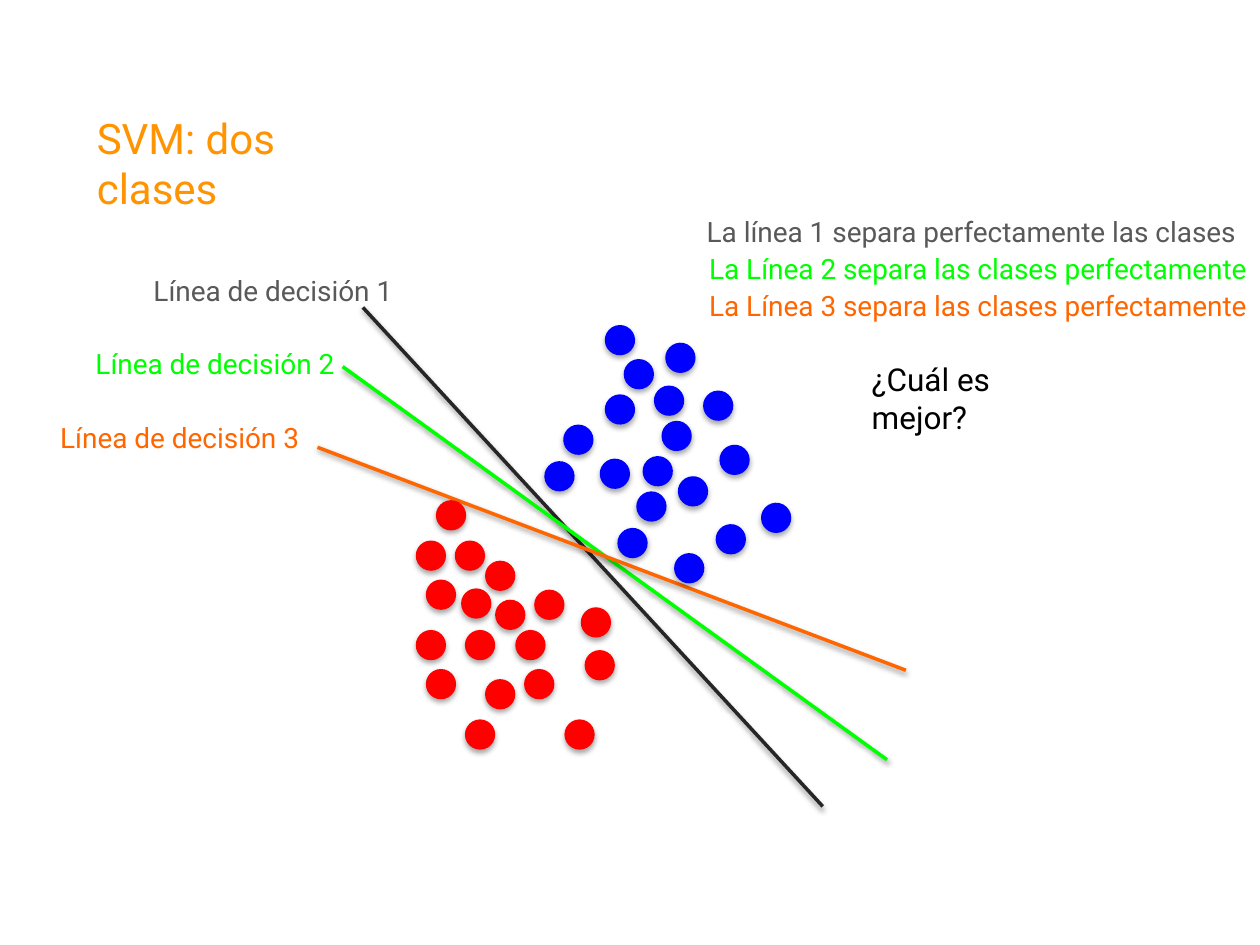
from typing import NamedTuple

from lxml import etree
from pptx import Presentation
from pptx import util as u
from pptx.dml.color import RGBColor
from pptx.enum import shapes, text
from pptx.oxml.ns import qn

COLORS = {
    "gray": "595959",
    "dark": "262626",
    "green": "00FF00",
    "orange": "FF6600",
    "black": "000000",
    "red": "FF0000",
    "blue": "0000FF",
    "title": "FF9300",
}
FONT = "Roboto"
DOT_SIZE = 0.24


class Label(NamedTuple):
    words: str
    left: float
    top: float
    width: float
    height: float
    size: int
    color: str
    wrap: bool = False


class Boundary(NamedTuple):
    start: tuple[float, float]
    end: tuple[float, float]
    color: str
    claim: Label
    name: Label


class Cluster(NamedTuple):
    color: str
    rotation: float
    dots: list[tuple[float, float]]


BOUNDARIES = [
    Boundary(
        (2.88, 2.44), (6.53, 6.4), "dark",
        Label("La línea 1 separa perfectamente las clases", 5.51, 1.65, 4.49, 0.64, 16, "gray"),
        Label("Línea de decisión 1", 1.12, 2.12, 2.14, 0.64, 16, "gray"),
    ),
    Boundary(
        (2.72, 2.91), (7.04, 6.03), "green",
        Label("La Línea 2 separa las clases perfectamente", 5.53, 1.95, 4.54, 0.64, 16, "green"),
        Label("Línea de decisión 2", 0.66, 2.7, 2.14, 0.64, 16, "green"),
    ),
    Boundary(
        (2.52, 3.55), (7.19, 5.32), "orange",
        Label("La Línea 3 separa las clases perfectamente", 5.53, 2.24, 4.54, 0.64, 16, "orange"),
        Label("Línea de decisión 3", 0.38, 3.29, 2.14, 0.64, 16, "orange"),
    ),
]
QUESTION = Label("¿Cuál es mejor?", 6.82, 2.81, 1.95, 0.71, 18, "black", True)
TITLE = Label("SVM: dos clases", 0.67, 0.84, 2.53, 0.91, 24, "title", True)

CLUSTERS = [
    Cluster("red", 0, [
        (3.46, 3.97), (3.38, 4.6), (3.3, 4.29), (3.66, 4.67), (3.69, 5), (3.85, 4.45),
        (4.24, 4.68), (4.16, 5.31), (4.09, 5), (4.61, 4.82), (4.48, 5.71), (4.64, 5.16),
        (3.61, 4.29), (3.38, 5.31), (3.3, 5), (3.93, 4.76), (3.69, 5.71), (3.85, 5.39),
    ]),
    Cluster("blue", 42.6, [
        (5.28, 2.72), (4.8, 3.13), (4.95, 2.85), (5.58, 3.1), (4.76, 3.64), (5.25, 3.34),
        (5.38, 3.78), (4.9, 4.19), (5.05, 3.9), (5.68, 4.16), (5.71, 3.53), (5.35, 4.39),
        (5.19, 3.06), (4.32, 3.66), (4.47, 3.37), (5.1, 3.62), (6.04, 3.99), (4.8, 2.58),
    ]),
]


def rgb(name: str) -> RGBColor:
    return RGBColor.from_string(COLORS[name])


def add_shadow(shape, distance: float, opacity: int) -> None:
    properties = shape._element.spPr
    for old in properties.findall(qn("a:effectLst")):
        properties.remove(old)
    effects = etree.SubElement(properties, qn("a:effectLst"))
    shadow = etree.SubElement(
        effects, qn("a:outerShdw"), blurRad=str(u.Pt(3.1)), dist=str(u.Pt(distance)),
        dir="5400000", rotWithShape="0",
    )
    color = etree.SubElement(shadow, qn("a:srgbClr"), val=COLORS["black"])
    etree.SubElement(color, qn("a:alpha"), val=str(opacity * 1000))


def add_label(parent, label: Label) -> None:
    box = parent.add_textbox(
        u.Inches(label.left), u.Inches(label.top), u.Inches(label.width), u.Inches(label.height)
    )
    frame = box.text_frame
    frame.word_wrap = label.wrap
    frame.auto_size = text.MSO_AUTO_SIZE.NONE
    if label.wrap:
        frame.margin_right = u.Inches(0.5)
    span = frame.paragraphs[0].add_run()
    span.text = label.words
    span.font.name = FONT
    span.font.size = u.Pt(label.size)
    span.font.color.rgb = rgb(label.color)


def add_boundary(page, boundary: Boundary) -> None:
    group = page.shapes.add_group_shape().shapes
    add_label(group, boundary.claim)
    line = group.add_connector(
        shapes.MSO_CONNECTOR.STRAIGHT,
        *(u.Inches(value) for value in boundary.start + boundary.end),
    )
    line.line.color.rgb = rgb(boundary.color)
    line.line.width = u.Pt(2)
    add_shadow(line, 1.6, 38)
    add_label(group, boundary.name)


def add_cluster(page, cluster: Cluster) -> None:
    group = page.shapes.add_group_shape().shapes
    size = u.Inches(DOT_SIZE)
    for left, top in cluster.dots:
        dot = group.add_shape(
            shapes.MSO_SHAPE.OVAL, u.Inches(left), u.Inches(top), size, size
        )
        dot.rotation = cluster.rotation
        dot.fill.solid()
        dot.fill.fore_color.rgb = rgb(cluster.color)
        dot.line.fill.background()
        add_shadow(dot, 1.8, 35)


def main() -> None:
    deck = Presentation()
    deck.slide_width = u.Inches(10)
    deck.slide_height = u.Inches(7.5)
    page = deck.slides.add_slide(deck.slide_layouts[6])
    for boundary in BOUNDARIES:
        add_boundary(page, boundary)
    add_label(page.shapes, QUESTION)
    for cluster in CLUSTERS:
        add_cluster(page, cluster)
    add_label(page.shapes, TITLE)
    deck.save("out.pptx")


if __name__ == "__main__":
    main()
